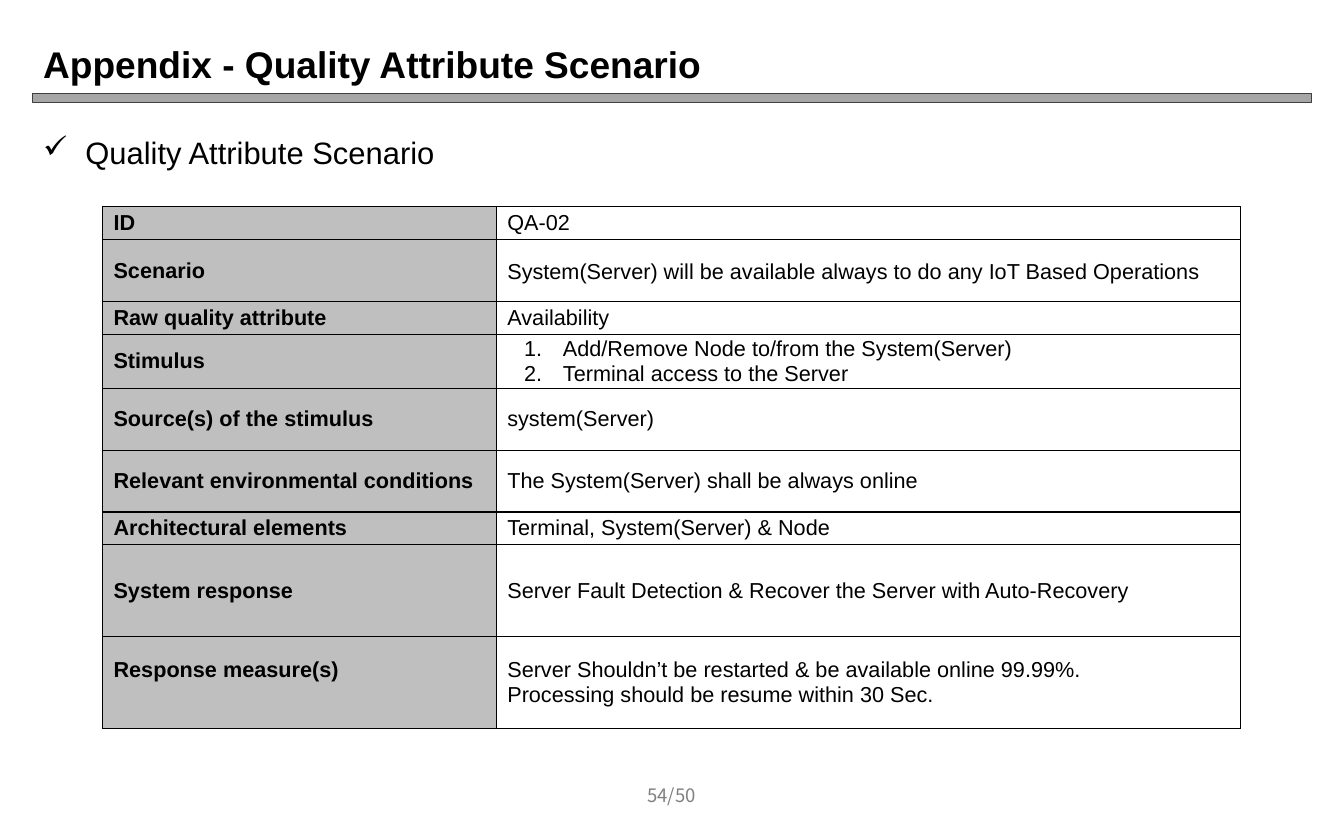
from lxml.etree import SubElement
from pptx import Presentation
from pptx.dml.color import RGBColor
from pptx.enum.shapes import MSO_SHAPE as Shape
from pptx.enum.text import MSO_ANCHOR as Anchor, PP_ALIGN as Align
from pptx.oxml import parse_xml
from pptx.oxml.ns import nsdecls, qn
from pptx.util import Inches, Pt

BLACK = RGBColor(0x00, 0x00, 0x00)
WHITE = RGBColor(0xFF, 0xFF, 0xFF)
RULE_GREY = RGBColor(0xA6, 0xA6, 0xA6)
RULE_EDGE = RGBColor(0x40, 0x40, 0x40)
LABEL_GREY = RGBColor(0xBF, 0xBF, 0xBF)
PAGE_GREY = RGBColor(0x80, 0x80, 0x80)

SLIDE_W, SLIDE_H = Inches(12.08), Inches(7.5)

# Shares of the slide's size, in percent
LEFT, FULL_WIDTH = 2.4, 95.2
TABLE_LEFT, TABLE_TOP = 7.62, 24.8
TABLE_COLUMNS = (29.3, 55.38)
ONE_LINE, ROOMY, TALL = 3.95, 7.4, 11

# Label, lines of the answer, row height
SCENARIO_ROWS = (
    ("ID", ["QA-02"], ONE_LINE),
    ("Scenario",
     ["System(Server) will be available always to do any IoT Based Operations"], ROOMY),
    ("Raw quality attribute", ["Availability"], ONE_LINE),
    ("Stimulus",
     ["Add/Remove Node to/from the System(Server)", "Terminal access to the Server"], 6.5),
    ("Source(s) of the stimulus", ["system(Server)"], ROOMY),
    ("Relevant environmental conditions",
     ["The System(Server) shall be always online"], ROOMY),
    ("Architectural elements", ["Terminal, System(Server) & Node"], ONE_LINE),
    ("System response",
     ["Server Fault Detection & Recover the Server with Auto-Recovery"], TALL),
    ("Response measure(s)",
     ["Server Shouldn’t be restarted & be available online 99.99%.",
      "Processing should be resume within 30 Sec."], TALL),
)


def across(share):
    return int(SLIDE_W * share / 100)


def down(share):
    return int(SLIDE_H * share / 100)


def place(left, top, width, height):
    return across(left), down(top), across(width), down(height)


def add_band(slide, box, fill, edge=None):
    band = slide.shapes.add_shape(Shape.FLOWCHART_PROCESS, *place(*box))
    band.shadow.inherit = False
    band.fill.solid()
    band.fill.fore_color.rgb = fill
    if edge is None:
        band.line.fill.background()
    else:
        band.line.color.rgb = edge
        band.line.width = Pt(0.75)


def add_run(paragraph, text, size, color=BLACK, bold=False, face="Arial"):
    run = paragraph.add_run()
    run.text = text
    run.font.name = face
    run.font.size = Pt(size)
    run.font.bold = bold
    run.font.color.rgb = color


def add_bullet(paragraph, indent, hanging, kind, **mark):
    properties = paragraph._p.get_or_add_pPr()
    properties.set("marL", str(Inches(indent)))
    properties.set("indent", str(-Inches(hanging)))
    SubElement(properties, qn(f"a:{kind}"), **mark)


def add_text(slide, box, anchor=Anchor.TOP):
    frame = slide.shapes.add_textbox(*place(*box)).text_frame
    frame.word_wrap = True
    frame.vertical_anchor = anchor
    return frame.paragraphs[0]


def add_borders(cell):
    properties = cell._tc.get_or_add_tcPr()
    for position, side in enumerate("LRTB"):
        properties.insert(position, parse_xml(
            f'<a:ln{side} {nsdecls("a")} w="{Pt(1)}"><a:solidFill>'
            f'<a:srgbClr val="{BLACK}"/></a:solidFill></a:ln{side}>'))


def fill_cell(cell, lines, fill, bold=False):
    cell.fill.solid()
    cell.fill.fore_color.rgb = fill
    add_borders(cell)
    cell.vertical_anchor = Anchor.MIDDLE
    cell.margin_left = cell.margin_right = Inches(0.1)
    cell.margin_top = cell.margin_bottom = 0
    frame = cell.text_frame
    for number, line in enumerate(lines):
        paragraph = frame.add_paragraph() if number else frame.paragraphs[0]
        add_run(paragraph, line, 14, bold=bold)
    return frame.paragraphs


def add_scenario_table(slide):
    heights = [height for _, _, height in SCENARIO_ROWS]
    box = TABLE_LEFT, TABLE_TOP, sum(TABLE_COLUMNS), sum(heights)
    table = slide.shapes.add_table(
        len(heights), len(TABLE_COLUMNS), *place(*box)).table
    table.first_row = table.horz_banding = False
    for column, width in zip(table.columns, TABLE_COLUMNS):
        column.width = across(width)
    for row, (label, answer, height) in zip(table.rows, SCENARIO_ROWS):
        row.height = down(height)
        label_cell, answer_cell = row.cells
        fill_cell(label_cell, [label], LABEL_GREY, bold=True)
        paragraphs = fill_cell(answer_cell, answer, WHITE)
        if label == "Scenario":
            paragraphs[0].line_spacing = 1.15
        elif label == "Stimulus":
            for stimulus in paragraphs:
                add_bullet(stimulus, 0.5, 0.35, "buAutoNum", type="arabicPeriod")
        elif label == "Response measure(s)":
            # Level with the first line of the answer
            label_cell.margin_bottom = Inches(0.22)


def main():
    deck = Presentation()
    deck.slide_width, deck.slide_height = SLIDE_W, SLIDE_H
    slide = deck.slides.add_slide(deck.slide_layouts[6])

    # Title with its rule
    add_band(slide, (LEFT, 11.2, FULL_WIDTH, 1.07), RULE_GREY, RULE_EDGE)
    add_band(slide, (LEFT, 3.87, 95.86, 7.33), WHITE)
    title = add_text(slide, (LEFT, 4, FULL_WIDTH, 7.2), Anchor.MIDDLE)
    add_run(title, "Appendix - Quality Attribute Scenario", 24, bold=True)

    # Topic
    topic = add_text(slide, (LEFT, 15.33, FULL_WIDTH, 6))
    add_bullet(topic, 0.38, 0.38, "buChar", char="✓")
    add_run(topic, "Quality Attribute Scenario", 20)

    add_scenario_table(slide)

    # Page number
    page = add_text(slide, (45.45, 92.67, 9.02, 5.33), Anchor.MIDDLE)
    page.alignment = Align.CENTER
    add_run(page, "54/50", 12, PAGE_GREY, face="Noto Sans CJK KR")

    deck.save("out.pptx")


if __name__ == "__main__":
    main()
